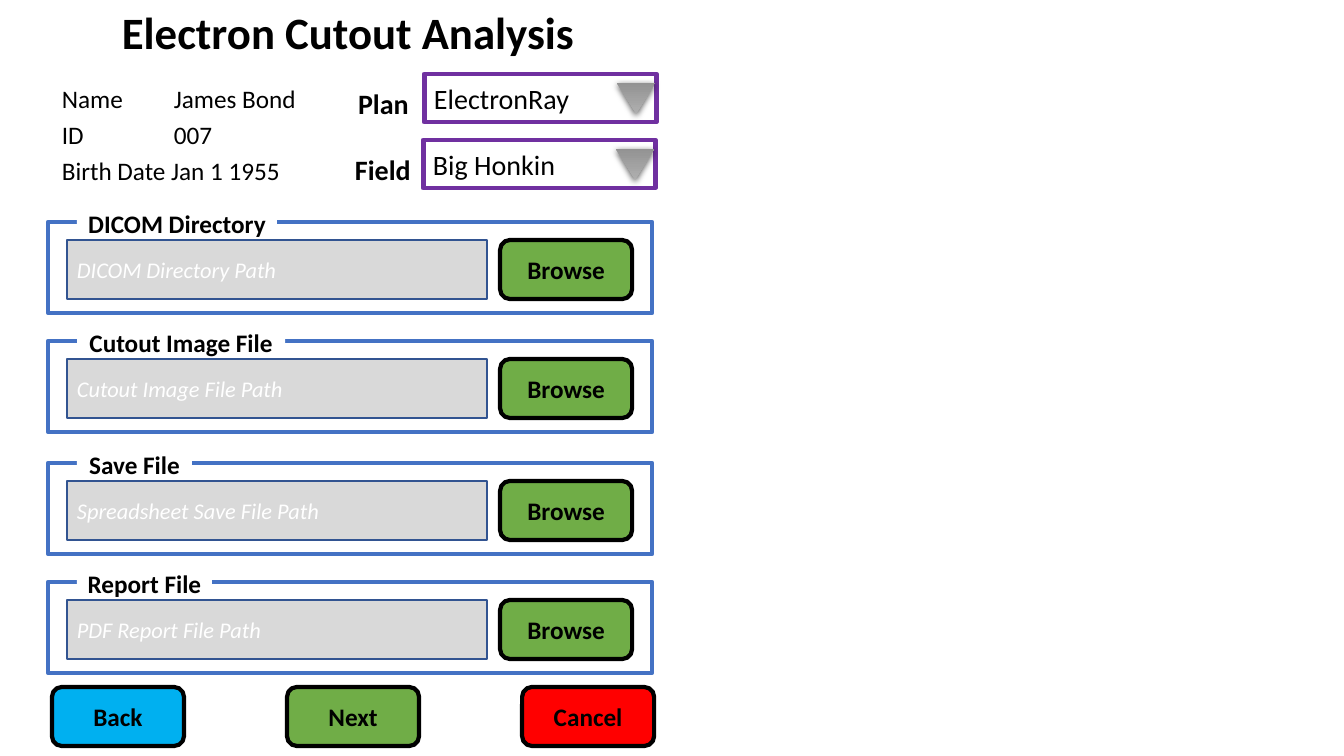
from lxml.etree import SubElement
from pptx import Presentation
from pptx.dml.color import RGBColor
from pptx.enum.shapes import MSO_SHAPE
from pptx.enum.text import MSO_ANCHOR, PP_ALIGN
from pptx.oxml.ns import qn
from pptx.util import Inches, Pt

EMU_PER_PIXEL = 914400 / 100.8
BLACK, WHITE, GREEN = "000000", "FFFFFF", "70AD47"
BUTTON_WIDTH, BUTTON_HEIGHT = 132, 59


def emu(pixels):
    """Turn pixels into EMU."""
    return round(pixels * EMU_PER_PIXEL)


def color(value):
    """Turn a hex string into a colour."""
    return RGBColor.from_string(value)


def write(shape, lines, size, font_color=BLACK, bold=False, italic=False,
          align=PP_ALIGN.LEFT, spacing=None, wrap=True):
    """Fill a shape with evenly formatted lines of text."""
    text_frame = shape.text_frame
    text_frame.text = lines
    text_frame.word_wrap = wrap
    for paragraph in text_frame.paragraphs:
        paragraph.alignment = align
        if spacing:
            paragraph.line_spacing = spacing
        for run in paragraph.runs:
            font = run.font
            font.name, font.size = "Calibri", Pt(size)
            font.bold, font.italic = bold, italic
            font.color.rgb = color(font_color)


def add_text(shapes, box, lines, size, **style):
    """Add a text box."""
    shape = shapes.add_textbox(*map(emu, box))
    write(shape, lines, size, **style)
    return shape


def add_box(shapes, box, fill=None, line=None, width=1, kind=MSO_SHAPE.RECTANGLE):
    """Add a flat shape with an optional fill and outline."""
    shape = shapes.add_shape(kind, *map(emu, box))
    shape.shadow.inherit = False
    shape.text_frame.vertical_anchor = MSO_ANCHOR.MIDDLE
    if fill:
        shape.fill.solid()
        shape.fill.fore_color.rgb = color(fill)
    else:
        shape.fill.background()
    if line:
        shape.line.color.rgb = color(line)
        shape.line.width = Pt(width)
    else:
        shape.line.fill.background()
    return shape


def add_button(shapes, left, top, caption, fill):
    """Add a rounded push button."""
    button = add_box(shapes, (left, top, BUTTON_WIDTH, BUTTON_HEIGHT), fill,
                     BLACK, 3, MSO_SHAPE.ROUNDED_RECTANGLE)
    write(button, caption, 18, bold=True, align=PP_ALIGN.CENTER)


def add_arrow(shapes, box):
    """Add the shaded triangle that points down in a dropdown."""
    arrow = add_box(shapes, box, kind=MSO_SHAPE.ISOSCELES_TRIANGLE)
    arrow.fill.gradient()
    arrow.fill.gradient_angle = 270
    for stop, shade in zip(arrow.fill.gradient_stops, ("AFAFAF", "939393")):
        stop.color.rgb = color(shade)
    properties = arrow._element.spPr
    properties.find(qn("a:xfrm")).set("flipV", "1")
    shadow = SubElement(properties.find(qn("a:effectLst")), qn("a:outerShdw"),
                        blurRad=str(Pt(4.5)), dist=str(Pt(1.5)),
                        dir="5400000", rotWithShape="0")
    shade = SubElement(shadow, qn("a:srgbClr"), val=BLACK)
    SubElement(shade, qn("a:alpha"), val="63000")


def add_dropdown(slide, box, label, label_left, choice):
    """Add a labelled dropdown whose field fills the box."""
    shapes = slide.shapes.add_group_shape().shapes
    left, top, width, height = box
    add_text(shapes, (label_left, top + 1, left - label_left, height), label, 20,
             bold=True, spacing=1.2)
    field = add_box(shapes, box, WHITE, "7030A0", 3.5)
    write(field, choice, 20)
    add_arrow(shapes, (left + width - 39, top + 9, 38, 31))


def add_file_panel(slide, box, title, title_width, hint):
    """Add a framed path field with its Browse button and title."""
    shapes = slide.shapes.add_group_shape().shapes
    left, top, width, height = box
    path_field = add_box(shapes, (left + 19, top + 18, 420, BUTTON_HEIGHT),
                         "D9D9D9", "325491")
    write(path_field, hint, 16, WHITE, italic=True)
    add_button(shapes, left + width - 152, top + 18, "Browse", GREEN)
    add_box(shapes, box, line="4472C4", width=3)
    legend = add_box(shapes, (left + 29, top - 13, title_width, 28), WHITE)
    write(legend, title, 18, bold=True, align=PP_ALIGN.CENTER, wrap=False)


def add_patient(slide, box):
    """Add the patient details, with values aligned at a tab stop."""
    details = add_text(slide.shapes, box,
                       "Name\tJames Bond\nID\t007\nBirth Date Jan 1 1955",
                       18, spacing=1.2)
    for paragraph in details.text_frame.paragraphs:
        tabs = SubElement(paragraph._p.get_or_add_pPr(), qn("a:tabLst"))
        SubElement(tabs, qn("a:tab"), pos=str(emu(112)), algn="l")


def add_navigation(slide, box):
    """Spread the three navigation buttons across the box."""
    left, top, width, _ = box
    buttons = (("Back", "00B0F0"), ("Next", GREEN), ("Cancel", "FF0000"))
    step = (width - BUTTON_WIDTH) // (len(buttons) - 1)
    for index, (caption, fill) in enumerate(buttons):
        add_button(slide.shapes, left + index * step, top, caption, fill)


def main():
    """Build the slide and save it."""
    presentation = Presentation()
    presentation.slide_width, presentation.slide_height = Inches(13.33), Inches(7.5)
    slide = presentation.slides.add_slide(presentation.slide_layouts[6])
    panels = (
        (222, "DICOM Directory", 200, "DICOM Directory Path"),
        (341, "Cutout Image File", 208, "Cutout Image File Path"),
        (463, "Save File", 115, "Spreadsheet Save File Path"),
        (582, "Report File", 135, "PDF Report File Path"),
    )
    for top, title, title_width, hint in panels:
        add_file_panel(slide, (48, top, 604, 91), title, title_width, hint)
    add_patient(slide, (52, 72, 257, 118))
    add_dropdown(slide, (424, 74, 232, 48), "Plan", 348, "ElectronRay")
    add_dropdown(slide, (423, 140, 232, 48), "Field", 345, "Big Honkin")
    add_navigation(slide, (52, 687, 603, BUTTON_HEIGHT))
    add_text(slide.shapes, (112, 0, 477, 65), "Electron Cutout Analysis", 32,
             bold=True, wrap=False)
    presentation.save("out.pptx")


main()
